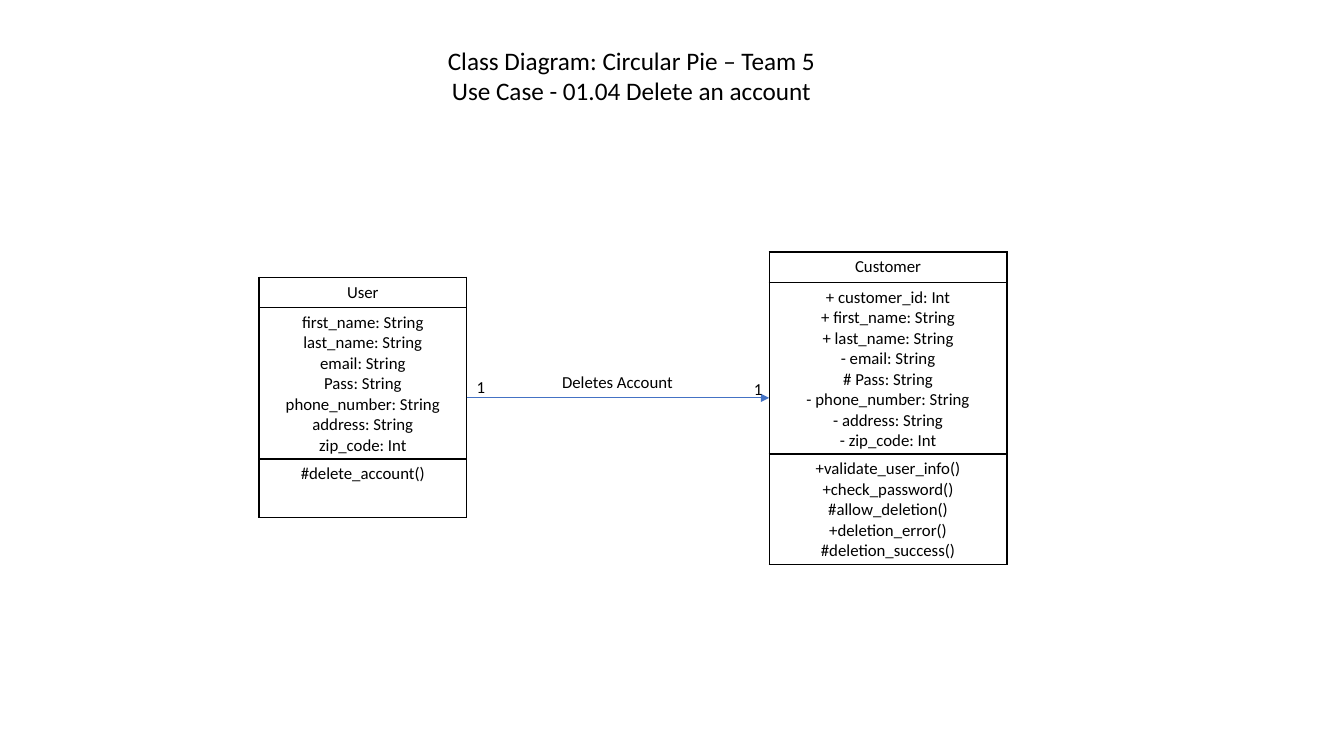
from lxml import etree
from pptx import Presentation
from pptx.dml.color import RGBColor
from pptx.enum.shapes import MSO_CONNECTOR
from pptx.enum.text import MSO_ANCHOR, MSO_AUTO_SIZE, PP_ALIGN
from pptx.oxml import parse_xml
from pptx.oxml.ns import nsdecls, qn
from pptx.util import Pt

STRAIGHT = MSO_CONNECTOR.STRAIGHT
TOP = MSO_ANCHOR.TOP
FIT_TEXT = MSO_AUTO_SIZE.SHAPE_TO_FIT_TEXT
LEFT, CENTER = PP_ALIGN.LEFT, PP_ALIGN.CENTER

FONT = "Calibri"
COLORS = {"ink": "000000", "arrow": "4472C4"}

TITLE = ["Class Diagram: Circular Pie – Team 5",
         "Use Case - 01.04 Delete an account"]
TITLE_BOX = (306.7, 28.8, 288.7, 51.1)

CLASSES = [
    {
        "at": (549.4, 180), "width": 169.9, "heights": (21.6, 122.6, 79),
        "sections": [
            ["Customer"],
            ["+ customer_id: Int", "+ first_name: String",
             "+ last_name: String", "- email: String", "# Pass: String",
             "- phone_number: String", "- address: String", "- zip_code: Int"],
            ["+validate_user_info()", "+check_password()",
             "#allow_deletion()", "+deletion_error()", "#deletion_success()"],
        ],
    },
    {
        "at": (185, 198), "width": 148.4, "heights": (21.6, 108.2, 42),
        "sections": [
            ["User"],
            ["first_name: String", "last_name: String", "email: String",
             "Pass: String", "phone_number: String", "address: String",
             "zip_code: Int"],
            ["#delete_account()"],
        ],
    },
]

# text, left, top, width
LABELS = [
    ("Deletes Account", 394.4, 262.3, 94.3),
    ("1", 531.4, 266.7, 20.9),
    ("1", 333.4, 265.5, 20.9),
]
LABEL_HEIGHT = 21.8
ARROW_Y = 284.2


def rgb(name):
    return RGBColor.from_string(COLORS[name])


def write(frame, lines, size, align):
    frame.text = "\n".join(lines)
    for paragraph in frame.paragraphs:
        paragraph.alignment = align
        for run in paragraph.runs:
            run.font.name = FONT
            run.font.size = Pt(size)
            run.font.bold = False
            run.font.color.rgb = rgb("ink")


def set_borders(cell, width):
    props = cell._tc.get_or_add_tcPr()
    for index, side in enumerate(("lnL", "lnR", "lnT", "lnB")):
        props.insert(index, parse_xml(
            f'<a:{side} {nsdecls("a")} w="{Pt(width)}"><a:solidFill>'
            f'<a:srgbClr val="{COLORS["ink"]}"/></a:solidFill></a:{side}>'))


def add_class(slide, item):
    left, top = item["at"]
    table = slide.shapes.add_table(
        len(item["sections"]), 1, Pt(left), Pt(top),
        Pt(item["width"]), Pt(sum(item["heights"]))).table
    table.first_row = False
    table.horz_banding = False
    for index, lines in enumerate(item["sections"]):
        table.rows[index].height = Pt(item["heights"][index])
        cell = table.cell(index, 0)
        write(cell.text_frame, lines, 12, CENTER)
        cell.fill.background()
        set_borders(cell, 1)


def add_arrow(slide, start, end, y):
    arrow = slide.shapes.add_connector(
        STRAIGHT, Pt(start), Pt(y), Pt(end), Pt(y))
    arrow.line.color.rgb = rgb("arrow")
    arrow.line.width = Pt(0.5)
    etree.SubElement(arrow.line._get_or_add_ln(), qn("a:tailEnd"),
                     type="triangle")
    etree.SubElement(arrow._element.spPr, qn("a:effectLst"))


def add_label(slide, text, left, top, width):
    frame = slide.shapes.add_textbox(
        Pt(left), Pt(top), Pt(width), Pt(LABEL_HEIGHT)).text_frame
    frame.word_wrap = False
    frame.auto_size = FIT_TEXT
    write(frame, [text], 12, LEFT)


def add_title(slide):
    title = slide.shapes.title
    title.left, title.top, title.width, title.height = map(Pt, TITLE_BOX)
    frame = title.text_frame
    frame.word_wrap = False
    frame.auto_size = FIT_TEXT
    frame.vertical_anchor = TOP
    write(frame, TITLE, 18, CENTER)


def main():
    deck = Presentation()
    deck.slide_width, deck.slide_height = Pt(960), Pt(540)
    slide = deck.slides.add_slide(deck.slide_layouts[5])
    add_title(slide)
    for item in CLASSES:
        add_class(slide, item)
    customer, user = CLASSES
    add_arrow(slide, user["at"][0] + user["width"], customer["at"][0], ARROW_Y)
    for label in LABELS:
        add_label(slide, *label)
    deck.save("out.pptx")


if __name__ == "__main__":
    main()
